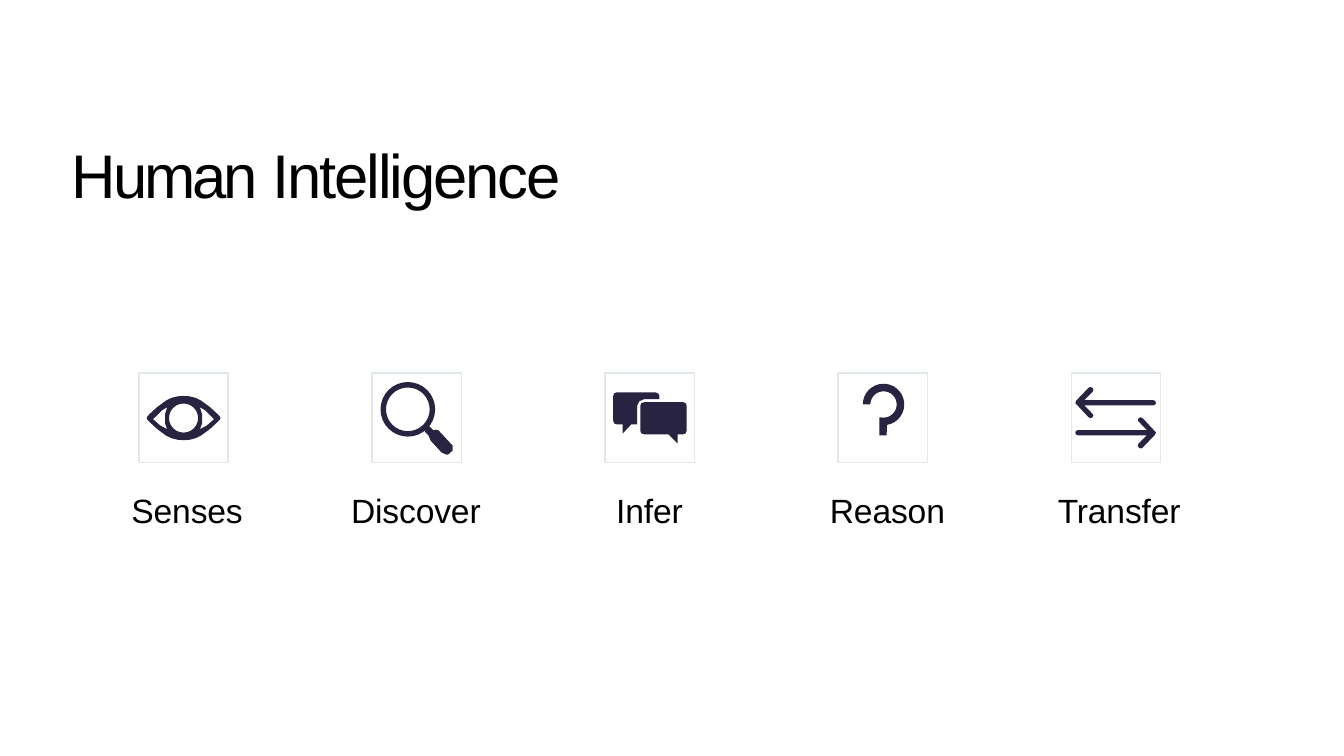
import math

import pptx
import pptx.dml.color
import pptx.enum.shapes
import pptx.enum.text
import pptx.util

Pt = pptx.util.Pt

BLACK, NAVY, PALE = "000000", "272341", "E1E8E8"
FRAME_LEFT, FRAME_TOP, FRAME_SIZE, FRAME_PITCH = 99.2, 266.4, 63.8, 166.5
LABEL_TOP, LABEL_HEIGHT = 349.2, 31


def rgb(value):
    return pptx.dml.color.RGBColor.from_string(value)


def arc(cx, cy, radius, start=0, end=360, steps=24):
    """Points along an arc; angles in degrees, clockwise from the right."""
    angles = [math.radians(start + (end - start) * i / steps) for i in range(steps + 1)]
    return [(cx + radius * math.cos(a), cy + radius * math.sin(a)) for a in angles]


def mirror(points, axis):
    return [(2 * axis - x, y) for x, y in points]


# Every icon function returns closed outlines measured from the frame's corner.
def eye():
    cx, cy = 31.9, 32.2
    lid = [(0, 15.8), (4.3, 15.5), (8.6, 14.4), (12.5, 12.5), (15.9, 10),
           (19, 7.7), (21.6, 5.3), (24.2, 2.9), (26.2, 0.7)]
    upper = [(cx + x, cy - y) for x, y in lid]
    lower = [(cx + x, cy + y) for x, y in reversed(lid)]
    right_half = upper + lower
    outline = right_half + mirror(right_half, cx)[::-1]
    left_white = [(10.1, 33), (13.7, 29.5), (16.6, 26.6), (20.2, 24.5),
                  (18.7, 29.5), (18.7, 36), (20.2, 40.2), (15.1, 37.4)]
    return [outline, arc(cx, cy, 10.4), left_white, mirror(left_white, cx)]


def magnifier():
    handle = [(37.6, 41.8), (40.4, 44.6), (41.8, 48.2), (49.8, 56.9), (53.3, 58.4),
              (54.5, 58.2), (57.6, 55.4), (57.6, 51.8), (56.2, 50.4), (47.5, 41),
              (45.5, 40.5), (44, 41), (41, 38.2), (39.4, 39.8)]
    return [arc(25.6, 26, 19.5, steps=32), arc(25.6, 26, 15.6, steps=32), handle]


def speech_bubbles():
    back = [(38.9, 18.7), (38.9, 16.6), (38.2, 14.8), (36, 13.9), (8.4, 13.9),
            (6.5, 14.6), (5.8, 16.6), (5.8, 34), (6.5, 36), (8.4, 36.8),
            (12.5, 36.8), (12.5, 43.4), (18.7, 36.8), (23, 36.8), (23, 23.4),
            (24.5, 20.2), (28.1, 18.7)]
    front = [(58.3, 23.6), (57.6, 21.6), (55.6, 20.9), (28.1, 20.9), (25.9, 21.6),
             (25.2, 23.6), (25.2, 41.2), (25.9, 43.2), (28.1, 43.9), (45.4, 43.9),
             (51.8, 50.4), (51.8, 43.9), (55.6, 43.9), (57.6, 43.2), (58.3, 41.2)]
    return [back, front]


def question_mark():
    cx, cy = 32.4, 22.5
    stem = [(34.6, 44.6), (29.5, 44.6), (29.5, 31.7)]
    return [arc(cx, cy, 14.8, 180, 440) + stem + arc(cx, cy, 9.4, 450, 180)]


def opposite_arrows():
    right = [(60.5, 42.5), (51.1, 32.4), (49.7, 31.7), (48.2, 32.2), (47.5, 33.8),
             (48.2, 34.8), (54, 40.8), (5, 40.8), (3.4, 41.4), (2.9, 42.6),
             (3.4, 44), (5, 44.6), (54, 44.6), (48.2, 50.4), (47.5, 51.8),
             (48.2, 53.3), (49.7, 54), (51.1, 53.3), (59.8, 44.2)]
    left = [(63.4 - x, 64 - y) for x, y in right]
    return [right, left]


def add_outline(shapes, left, top, contours, color):
    """Fill all contours as one shape, so that inner ones become holes."""
    placed = [[(Pt(left + x), Pt(top + y)) for x, y in c] for c in contours]
    builder = shapes.build_freeform(*placed[0][0])
    for i, points in enumerate(placed):
        if i:
            builder.move_to(*points[0])
        builder.add_line_segments(points[1:], close=True)
    sp = builder.convert_to_shape()
    sp.shadow.inherit = False
    sp.fill.solid()
    sp.fill.fore_color.rgb = rgb(color)
    sp.line.fill.background()


def add_frame(shapes, left, top, size):
    rectangle = pptx.enum.shapes.MSO_SHAPE.RECTANGLE
    sp = shapes.add_shape(rectangle, Pt(left), Pt(top), Pt(size), Pt(size))
    sp.shadow.inherit = False
    sp.fill.background()
    sp.line.color.rgb = rgb(PALE)
    sp.line.width = Pt(1)


def add_text(slide, box, runs, size, inset_top):
    """Write one left-aligned line; runs are (text, letter spacing in points)."""
    tf = slide.shapes.add_textbox(*map(Pt, box)).text_frame
    frame_format = {
        "word_wrap": True,
        "margin_left": 0,
        "margin_right": 0,
        "margin_top": Pt(inset_top),
        "margin_bottom": 0,
        "vertical_anchor": pptx.enum.text.MSO_ANCHOR.TOP,
    }
    for name, value in frame_format.items():
        setattr(tf, name, value)
    p = tf.paragraphs[0]
    p.space_before = Pt(1)
    p._p.get_or_add_pPr().set("marL", str(Pt(1)))
    for text, spacing in runs:
        r = p.add_run()
        r.text = text
        for name, value in {"name": "Arial", "size": Pt(size)}.items():
            setattr(r.font, name, value)
        r.font.color.rgb = rgb(BLACK)
        r._r.get_or_add_rPr().set("spc", str(round(spacing * 100)))


def main():
    prs = pptx.Presentation()
    prs.slide_width, prs.slide_height = Pt(960), Pt(540)
    slide = prs.slides.add_slide(prs.slide_layouts[6])

    title = [("Human ", -2.2), ("Intelligence", -1.5)]
    add_text(slide, (50.4, 54, 859, 97.9), title, 44, 43.9)

    abilities = [
        ("Senses", eye, 92.9, 82),
        ("Discover", magnifier, 249.8, 95),
        ("Infer", speech_bubbles, 439.2, 50.4),
        ("Reason", question_mark, 591.8, 85),
        ("Transfer", opposite_arrows, 754.6, 90.7),
    ]
    for i, (label, icon, label_left, label_width) in enumerate(abilities):
        left = FRAME_LEFT + i * FRAME_PITCH
        group = slide.shapes.add_group_shape()
        add_outline(group.shapes, left, FRAME_TOP, icon(), NAVY)
        add_frame(group.shapes, left, FRAME_TOP, FRAME_SIZE)
        box = (label_left, LABEL_TOP, label_width, LABEL_HEIGHT)
        add_text(slide, box, [(label, -0.1)], 24, 0.7)

    prs.save("out.pptx")


if __name__ == "__main__":
    main()
